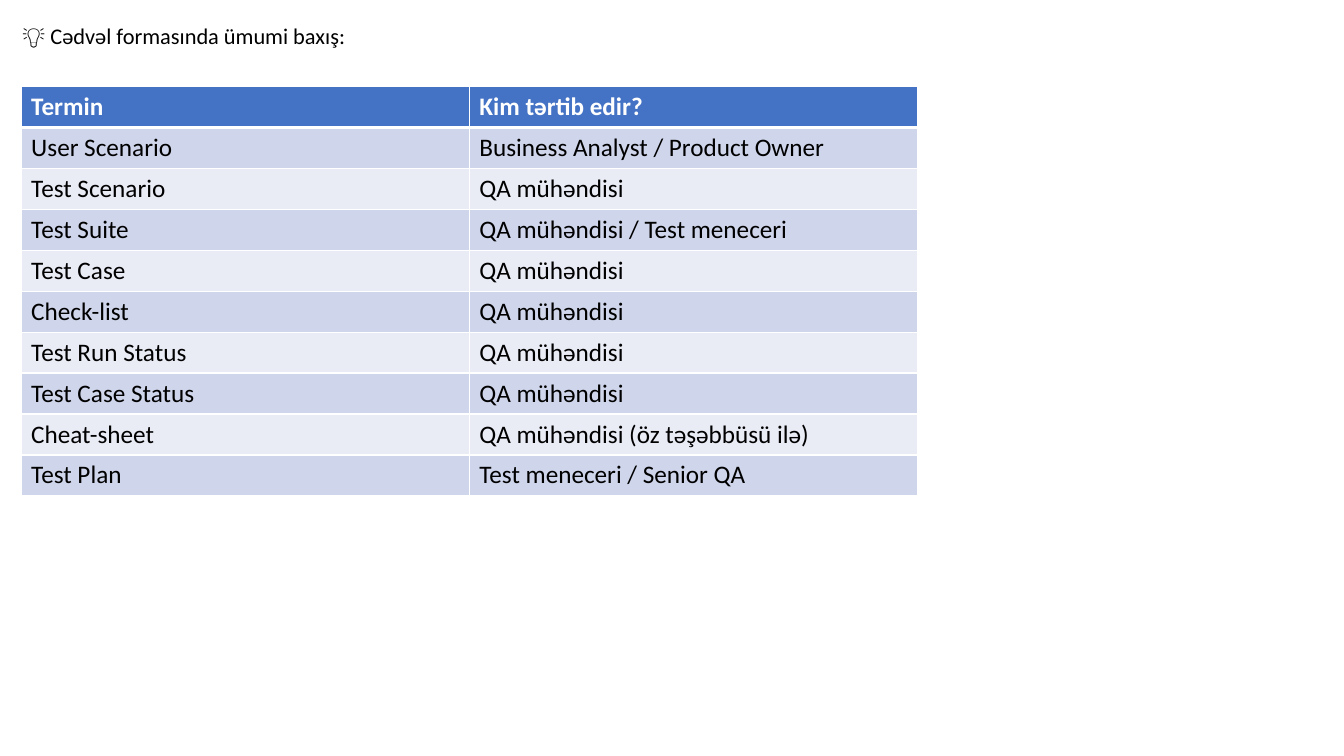
import pptx
import pptx.util
import pptx.dml.color
import pptx.enum.text
import lxml.etree
from pptx.util import Inches

A = "http://schemas.openxmlformats.org/drawingml/2006/main"


def add_run(p, text, size, color, bold=False):
    r = p.add_run()
    r.text = text
    r.font.name = "Calibri"
    r.font.size = pptx.util.Pt(size)
    r.font.bold = bold
    r.font.color.rgb = pptx.dml.color.RGBColor.from_string(color)


def add_border(cell, side, width, color):
    ln = lxml.etree.SubElement(cell._tc.get_or_add_tcPr(), f"{{{A}}}{side}", w=str(pptx.util.Pt(width)))
    fill = lxml.etree.SubElement(ln, f"{{{A}}}solidFill")
    lxml.etree.SubElement(fill, f"{{{A}}}srgbClr", val=color)


rows = [
    ("Termin", "Kim tərtib edir?"),
    ("User Scenario", "Business Analyst / Product Owner"),
    ("Test Scenario", "QA mühəndisi"),
    ("Test Suite", "QA mühəndisi / Test meneceri"),
    ("Test Case", "QA mühəndisi"),
    ("Check-list", "QA mühəndisi"),
    ("Test Run Status", "QA mühəndisi"),
    ("Test Case Status", "QA mühəndisi"),
    ("Cheat-sheet", "QA mühəndisi (öz təşəbbüsü ilə)"),
    ("Test Plan", "Test meneceri / Senior QA"),
]

prs = pptx.Presentation()
prs.slide_width = Inches(13.33)
prs.slide_height = Inches(7.5)
s = prs.slides.add_slide(prs.slide_layouts[5])

title = s.shapes.title
title.left, title.top = Inches(0.12), Inches(0.17)
title.width, title.height = Inches(13.11), Inches(0.37)
tf = title.text_frame
tf.word_wrap = True
tf.auto_size = pptx.enum.text.MSO_AUTO_SIZE.SHAPE_TO_FIT_TEXT
tf.vertical_anchor = pptx.enum.text.MSO_ANCHOR.TOP
p = tf.paragraphs[0]
p.alignment = pptx.enum.text.PP_ALIGN.LEFT
add_run(p, "💡 Cədvəl formasında ümumi baxış:", 16, "000000")

frame = s.shapes.add_table(len(rows), 2, Inches(0.21), Inches(0.86), Inches(8.89), Inches(4.06))
table = frame.table
for i, row in enumerate(rows):
    header = i == 0
    fill = "4472C4" if header else ("E9EBF5", "CFD5EA")[i % 2]
    for j, text in enumerate(row):
        cell = table.cell(i, j)
        for side in ("lnL", "lnR", "lnT", "lnB"):
            thick = (header and side == "lnB") or (i == 1 and side == "lnT")
            add_border(cell, side, 3 if thick else 1, "FFFFFF")
        cell.fill.solid()
        cell.fill.fore_color.rgb = pptx.dml.color.RGBColor.from_string(fill)
        cell.vertical_anchor = pptx.enum.text.MSO_ANCHOR.MIDDLE
        add_run(cell.text_frame.paragraphs[0], text, 18, "FFFFFF" if header else "000000", header)

prs.save("out.pptx")
